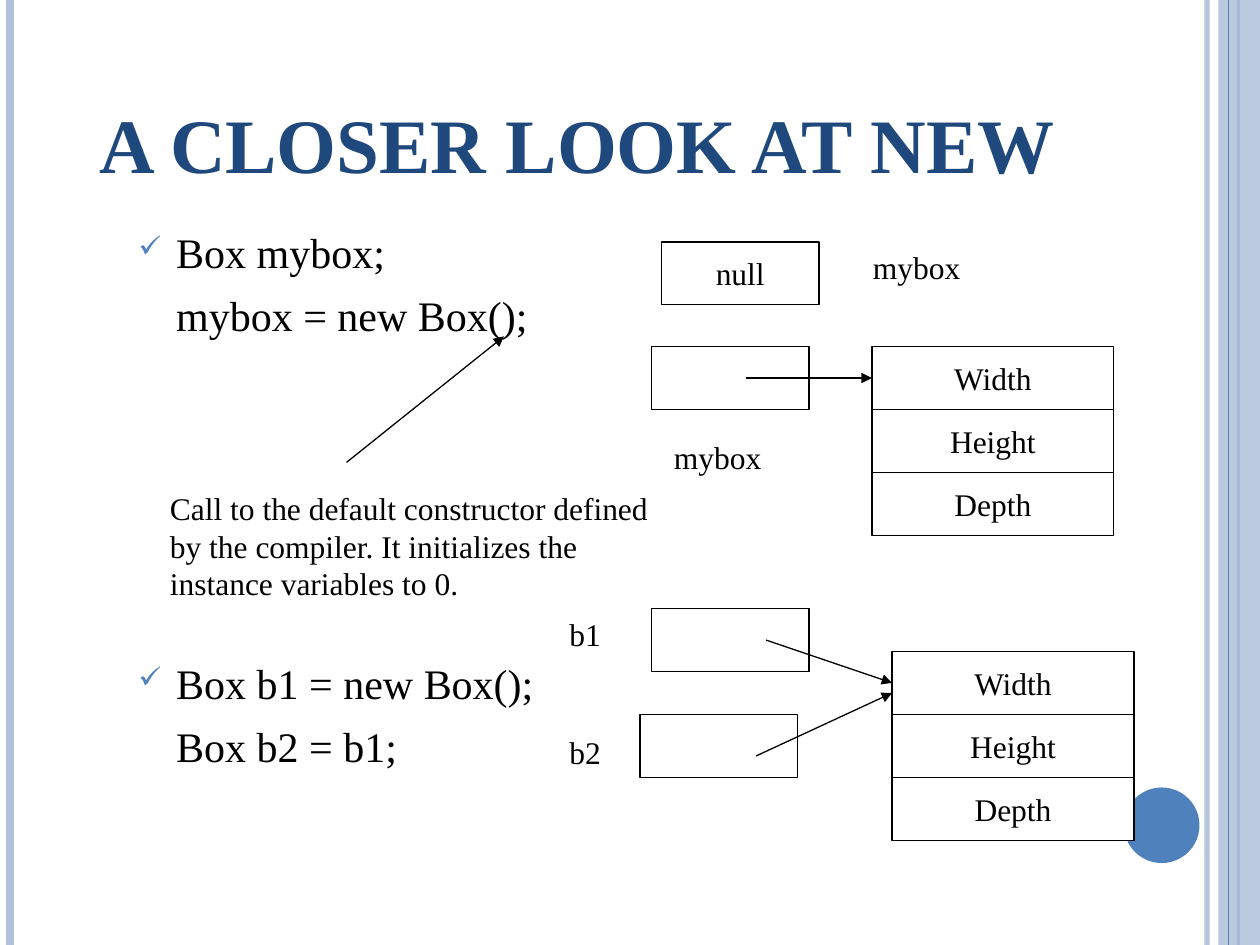
from lxml.etree import SubElement
from pptx import Presentation
from pptx.dml.color import RGBColor
from pptx.enum.shapes import MSO_CONNECTOR as Connector, MSO_SHAPE as Shape
from pptx.enum.text import MSO_ANCHOR as Anchor, PP_ALIGN as Align
from pptx.oxml.ns import qn
from pptx.util import Inches, Pt

COLORS = {
    "text": "000000",
    "paper": "FFFFFF",
    "title": "1F497D",
    "accent": "4F81BD",
    "pale": "B2C1DB",
}
FONT = "Times New Roman"
BOX_WIDTH, FIELD_WIDTH, BOX_HEIGHT = 1.25, 1.92, 0.5
FIELDS = ["Width", "Height", "Depth"]


def rgb(name):
    return RGBColor.from_string(COLORS[name])


def set_alpha(properties, percent):
    color = next(properties.iter(qn("a:srgbClr")))
    SubElement(color, qn("a:alpha"), val=str(percent * 1000))


class SlideBuilder:
    def __init__(self, slide):
        self.slide = slide

    def add_text(self, paragraph, text, size=18, color="text", bold=False, **layout):
        run = paragraph.add_run()
        run.text = text
        for name, value in {"name": FONT, "size": Pt(size), "bold": bold}.items():
            setattr(run.font, name, value)
        run.font.color.rgb = rgb(color)
        for name, value in layout.items():
            setattr(paragraph, name, value)

    def title(self, text, *place):
        shape = self.slide.shapes.title
        for name, value in zip(("left", "top", "width", "height"), place):
            setattr(shape, name, Inches(value))
        shape.text_frame.vertical_anchor = Anchor.BOTTOM
        self.add_text(shape.text_frame.paragraphs[0], text, 44, "title", True,
                      alignment=Align.CENTER)

    def text_frame(self, *place):
        frame = self.slide.shapes.add_textbox(*map(Inches, place)).text_frame
        frame.word_wrap = True
        return frame

    def label(self, text, *place):
        self.add_text(self.text_frame(*place).paragraphs[0], text)

    def code_list(self, lines, *place):
        """Each line is (text, has check mark, space before in points)."""
        frame = self.text_frame(*place)
        for index, (text, checked, space) in enumerate(lines):
            paragraph = frame.add_paragraph() if index else frame.paragraphs[0]
            self.add_text(paragraph, text, 24, space_before=Pt(space))
            properties = paragraph._p.get_or_add_pPr()
            properties.set("marL", str(Inches(0.3)))
            properties.set("indent", str(Inches(-0.3) if checked else 0))
            if checked:
                color = SubElement(properties, qn("a:buClr"))
                SubElement(color, qn("a:srgbClr"), val=COLORS["accent"])
                SubElement(properties, qn("a:buSzPct"), val="70000")
                SubElement(properties, qn("a:buChar"), char="✓")

    def shape(self, kind, fill, *place, outline=None):
        shape = self.slide.shapes.add_shape(kind, *map(Inches, place))
        shape.shadow.inherit = False
        shape.fill.solid()
        shape.fill.fore_color.rgb = rgb(fill)
        if outline:
            shape.line.color.rgb = rgb(outline)
            shape.line.width = Pt(0.75)
        else:
            shape.line.fill.background()
        return shape

    def box(self, left, top, width=BOX_WIDTH, text=""):
        shape = self.shape(Shape.RECTANGLE, "paper", left, top, width, BOX_HEIGHT,
                           outline="text")
        if text:
            frame = shape.text_frame
            frame.word_wrap = False
            frame.vertical_anchor = Anchor.MIDDLE
            self.add_text(frame.paragraphs[0], text, alignment=Align.CENTER)
        return shape

    def fields(self, left, top):
        """Stack the fields of an object and return the first one."""
        return [self.box(left, top + index * BOX_HEIGHT, FIELD_WIDTH, text)
                for index, text in enumerate(FIELDS)][0]

    def line(self, start, end, color="text", width=0.75):
        connector = self.slide.shapes.add_connector(
            Connector.STRAIGHT, *map(Inches, (*start, *end)))
        connector.line.color.rgb = rgb(color)
        connector.line.width = Pt(width)
        SubElement(connector._element.spPr, qn("a:effectLst"))
        return connector

    def arrow(self, start, end, target=None):
        connector = self.line(start, end)
        SubElement(connector.get_or_add_ln(), qn("a:tailEnd"), type="triangle")
        if target is not None:
            connector.end_connect(target, 1)


def main():
    presentation = Presentation()
    presentation.slide_width, presentation.slide_height = Inches(10), Inches(7.5)
    slide = presentation.slides.add_slide(presentation.slide_layouts[5])
    builder = SlideBuilder(slide)

    # Side stripes and corner disc
    stripe = builder.line((9.58, 0), (9.58, 7.5), "pale", 3)
    set_alpha(stripe._element.spPr, 93)
    for x, color, width in [(0.08, "pale", 4.5), (9.83, "accent", 1.5)]:
        builder.line((x, 0), (x, 7.5), color, width)
    band = builder.shape(Shape.RECTANGLE, "pale", 9.67, 0, 0.33, 7.5)
    set_alpha(band._element.spPr, 87)
    builder.line((9.75, 0), (9.75, 7.5), "accent")
    builder.shape(Shape.OVAL, "accent", 8.92, 6.25, 0.6, 0.6)

    # Title and code lines
    builder.title("A CLOSER LOOK AT NEW", 0.5, 0.3, 8.17, 1.25)
    builder.code_list([
        ("Box mybox;", True, 6),
        ("mybox = new Box();", False, 7.2),
        ("Box b1 = new Box();", True, 181.5),
        ("Box b2 = b1;", False, 7.2),
    ], 1, 1.75, 8.67, 5.42)

    # Declared variable, then variable pointing to a new object
    builder.box(5.25, 1.92, text="null")
    builder.label("mybox", 6.83, 1.92, 1.17, 0.4)
    builder.box(5.17, 2.75)
    builder.label("mybox", 5.25, 3.43, 1.17, 0.4)
    first_field = builder.fields(6.92, 2.75)
    builder.arrow((5.92, 3), (6.92, 3), first_field)

    # Constructor remark
    builder.arrow((2.75, 3.67), (4, 2.67))
    builder.label("Call to the default constructor defined by the compiler. "
                  "It initializes the instance variables to 0.",
                  1.25, 3.83, 4.25, 1)

    # Two variables sharing one object
    shared_field = builder.fields(7.08, 5.17)
    builder.box(5.17, 4.83)
    builder.box(5.08, 5.67)
    builder.label("b1", 4.42, 4.83, 0.58, 0.4)
    builder.label("b2", 4.42, 5.77, 0.58, 0.4)
    builder.arrow((6, 6), (7.08, 5.5))
    builder.arrow((6.08, 5.08), (7.08, 5.42), shared_field)

    presentation.save("out.pptx")


if __name__ == "__main__":
    main()
